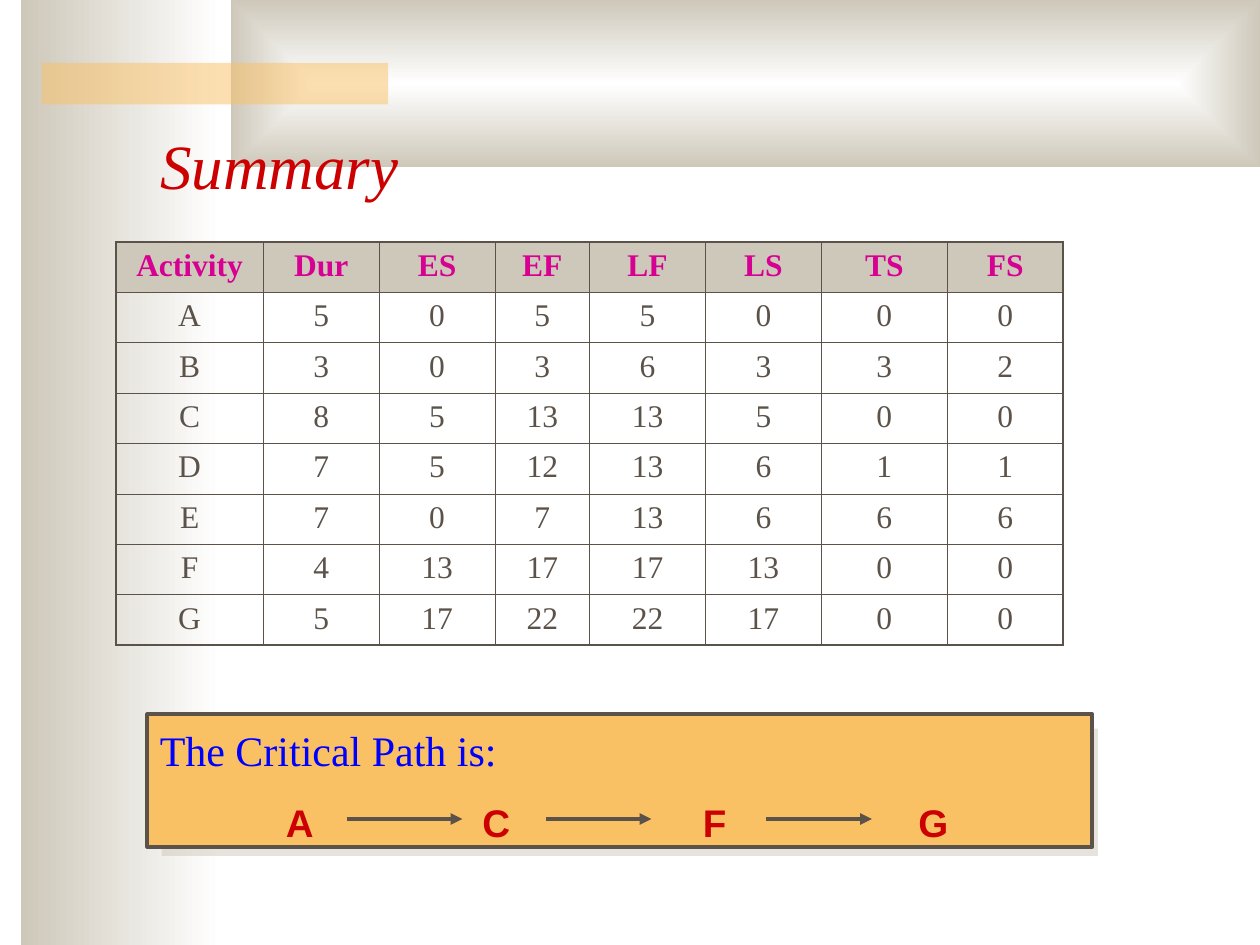
from lxml.etree import SubElement
from pptx import Presentation
from pptx.dml.color import RGBColor
from pptx.enum.shapes import MSO_CONNECTOR, MSO_SHAPE
from pptx.enum.text import MSO_ANCHOR, MSO_AUTO_SIZE, PP_ALIGN
from pptx.oxml import parse_xml
from pptx.oxml.ns import nsdecls, qn
from pptx.util import Inches, Pt

# Content
TITLE = "Summary"
ACTIVITIES = [
    ("Activity", "Dur", "ES", "EF", "LF", "LS", "TS", "FS"),
    ("A", 5, 0, 5, 5, 0, 0, 0),
    ("B", 3, 0, 3, 6, 3, 3, 2),
    ("C", 8, 5, 13, 13, 5, 0, 0),
    ("D", 7, 5, 12, 13, 6, 1, 1),
    ("E", 7, 0, 7, 13, 6, 6, 6),
    ("F", 4, 13, 17, 17, 13, 0, 0),
    ("G", 5, 17, 22, 22, 17, 0, 0),
]
COLUMN_WIDTHS = (1.17, 0.92, 0.92, 0.75, 0.92, 0.92, 1, 0.92)
ROW_HEIGHT = 0.4
PATH_LABEL = "The Critical Path is:"
PATH_STOPS = [("A", 1), ("C", 2.56), ("F", 4.31), ("G", 6.02)]  # letter, tab stop
ARROWS = [(2.75, 3.67), (4.33, 5.17), (6.08, 6.92)]
ARROW_Y = 6.5

THEME = {
    "serif": "Times New Roman", "sans": "Arial",
    "sand": "CEC8BA", "white": "FFFFFF", "orange": "FAC164", "brown": "5B5249",
    "red": "CC0000", "pink": "D60093", "blue": "0000FF",
    "title": 36, "cell": 18, "label": 24, "path": 22,
    "thin": 0.45, "outer": 1.08, "heavy": 2.25,
}


def color(name):
    return RGBColor.from_string(THEME[name])


def style(paragraph, face, size, ink, bold=False, italic=False):
    font = paragraph.font
    font.name, font.size = THEME[face], Pt(THEME[size])
    font.color.rgb = color(ink)
    font.bold, font.italic = bold, italic


def add_box(slide, place, fill=None, line_width=None):
    shape = slide.shapes.add_shape(MSO_SHAPE.RECTANGLE, *map(Inches, place))
    shape.shadow.inherit = False
    if fill:
        shape.fill.solid()
        shape.fill.fore_color.rgb = color(fill)
    if line_width:
        shape.line.color.rgb = color("brown")
        shape.line.width = Pt(line_width)
    else:
        shape.line.fill.background()
    return shape


def set_gradient(shape, direction):
    gradient = parse_xml(
        f'<a:gradFill {nsdecls("a")} rotWithShape="1"><a:gsLst>'
        f'<a:gs pos="0"><a:srgbClr val="{THEME["white"]}"/></a:gs>'
        f'<a:gs pos="100000"><a:srgbClr val="{THEME["sand"]}"/></a:gs>'
        f'</a:gsLst>{direction}</a:gradFill>')
    shape._element.spPr.find(qn("a:prstGeom")).addnext(gradient)


def add_alpha(parent, percent):
    alpha = SubElement(parent.find(".//" + qn("a:srgbClr")), qn("a:alpha"))
    alpha.set("val", str(percent * 1000))


def set_borders(cell, widths):
    properties = cell._tc.get_or_add_tcPr()
    for index, (side, width) in enumerate(zip("LRTB", widths)):
        properties.insert(index, parse_xml(
            f'<a:ln{side} {nsdecls("a")} w="{Pt(width)}"><a:solidFill>'
            f'<a:srgbClr val="{THEME["brown"]}"/></a:solidFill></a:ln{side}>'))


def add_backdrop(slide):
    set_gradient(add_box(slide, (0.17, 0, 1.58, 7.5)), '<a:lin ang="10800000" scaled="0"/>')
    set_gradient(add_box(slide, (1.83, 0, 8.17, 1.33)),
                 '<a:path path="rect"><a:fillToRect l="50000" t="50000" r="50000" b="50000"/></a:path>')
    accent = add_box(slide, (0.33, 0.5, 2.75, 0.33), "orange")
    add_alpha(accent._element.spPr, 50)


def add_title(slide):
    title = slide.shapes.title
    slide.shapes._spTree.append(title._element)  # in front of the backdrop
    title.left, title.top, title.width, title.height = map(Inches, (1.17, 0.92, 8.5, 0.77))
    frame = title.text_frame
    frame.text = TITLE
    frame.auto_size = MSO_AUTO_SIZE.NONE
    frame.vertical_anchor = MSO_ANCHOR.MIDDLE
    paragraph = frame.paragraphs[0]
    paragraph.alignment = PP_ALIGN.LEFT
    style(paragraph, "serif", "title", "red", italic=True)


def add_activity_table(slide):
    rows, columns = len(ACTIVITIES), len(COLUMN_WIDTHS)
    table = slide.shapes.add_table(
        rows, columns, Inches(0.92), Inches(1.92),
        Inches(sum(COLUMN_WIDTHS)), Inches(rows * ROW_HEIGHT)).table
    table.first_row = table.horz_banding = False
    for column, width in zip(table.columns, COLUMN_WIDTHS):
        column.width = Inches(width)
    for r, values in enumerate(ACTIVITIES):
        table.rows[r].height = Inches(ROW_HEIGHT)
        for c, value in enumerate(values):
            cell = table.cell(r, c)
            cell.text = str(value)
            header = r == 0
            if header:
                cell.fill.solid()
                cell.fill.fore_color.rgb = color("sand")
            else:
                cell.fill.background()
            edges = (c == 0, c == columns - 1, header, r == rows - 1)
            set_borders(cell, [THEME["outer" if edge else "thin"] for edge in edges])
            paragraph = cell.text_frame.paragraphs[0]
            paragraph.alignment = PP_ALIGN.CENTER
            style(paragraph, "serif", "cell", "pink" if header else "brown", bold=header)


def add_critical_path(slide):
    # Shadow panel behind the text panel
    backing = add_box(slide, (1.17, 5.67, 7.42, 1), "orange", 0.75)
    effects = backing._element.spPr.find(qn("a:effectLst"))
    effects.append(parse_xml(
        f'<a:outerShdw {nsdecls("a")} blurRad="0" dist="{Pt(12.1)}" dir="2700000" algn="ctr" '
        f'rotWithShape="0"><a:srgbClr val="{THEME["sand"]}"/></a:outerShdw>'))
    add_alpha(effects, 50)

    # Label and letters set on tab stops
    panel = add_box(slide, (1.17, 5.67, 7.5, 1.05), "orange", THEME["heavy"])
    frame = panel.text_frame
    frame.word_wrap = True
    frame.vertical_anchor = MSO_ANCHOR.TOP
    frame.margin_top = Inches(0.08)
    label = frame.paragraphs[0]
    label.text = PATH_LABEL
    letters = frame.add_paragraph()
    letters.text = "".join("\t" + letter for letter, _ in PATH_STOPS)
    letters.space_before = Pt(13.8)
    tabs = SubElement(letters._p.get_or_add_pPr(), qn("a:tabLst"))
    for _, stop in PATH_STOPS:
        SubElement(tabs, qn("a:tab"), pos=str(Inches(stop)), algn="l")
    label.alignment = letters.alignment = PP_ALIGN.LEFT
    style(label, "serif", "label", "blue")
    style(letters, "sans", "path", "red", bold=True)

    # Arrows between the letters
    for start, end in ARROWS:
        arrow = slide.shapes.add_connector(
            MSO_CONNECTOR.STRAIGHT, *map(Inches, (start, ARROW_Y, end, ARROW_Y)))
        arrow.line.color.rgb = color("brown")
        arrow.line.width = Pt(THEME["heavy"])
        SubElement(arrow.line._get_or_add_ln(), qn("a:tailEnd"), type="triangle")
        SubElement(arrow._element.spPr, qn("a:effectLst"))


def main():
    presentation = Presentation()
    presentation.slide_width, presentation.slide_height = Inches(10), Inches(7.5)
    slide = presentation.slides.add_slide(presentation.slide_layouts[5])
    add_backdrop(slide)
    add_title(slide)
    add_activity_table(slide)
    add_critical_path(slide)
    presentation.save("out.pptx")


if __name__ == "__main__":
    main()
